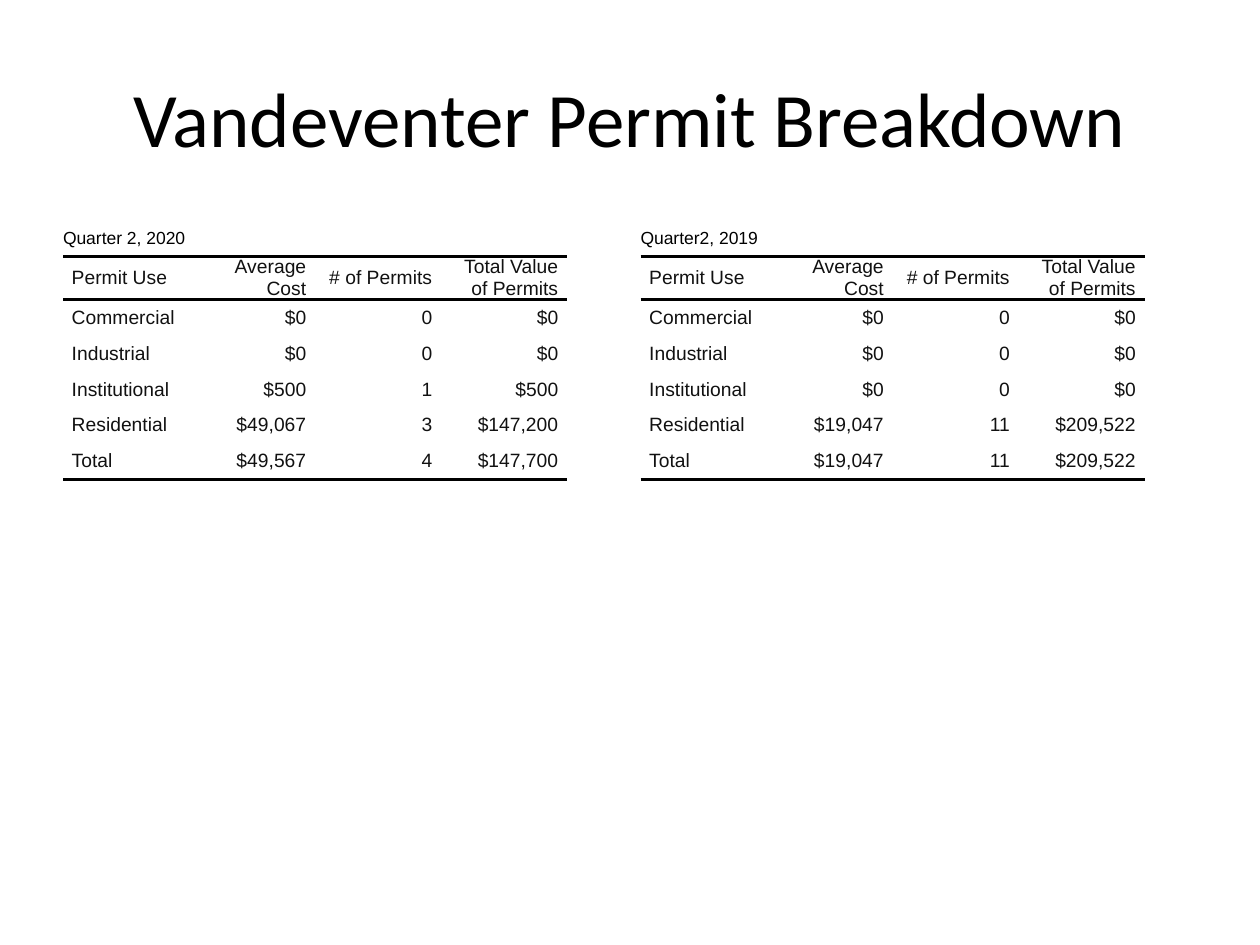
"""Build the Vandeventer permit breakdown slide with two quarterly tables."""
from lxml import etree
from pptx import Presentation
from pptx.dml.color import RGBColor
from pptx.enum.text import MSO_ANCHOR, PP_ALIGN
from pptx.oxml.ns import qn
from pptx.util import Pt

MIDDLE = MSO_ANCHOR.MIDDLE
LEFT, CENTER, RIGHT = PP_ALIGN.LEFT, PP_ALIGN.CENTER, PP_ALIGN.RIGHT

TITLE = "Vandeventer Permit Breakdown"
HEADER = ("Permit Use", "Average Cost", "# of Permits", "Total Value of Permits")
QUARTERS = [
    {"caption": "Quarter 2, 2020", "left": 36, "rows": [
        ("Commercial", "$0", "0", "$0"),
        ("Industrial", "$0", "0", "$0"),
        ("Institutional", "$500", "1", "$500"),
        ("Residential", "$49,067", "3", "$147,200"),
        ("Total", "$49,567", "4", "$147,700"),
    ]},
    {"caption": "Quarter2, 2019", "left": 366, "rows": [
        ("Commercial", "$0", "0", "$0"),
        ("Industrial", "$0", "0", "$0"),
        ("Institutional", "$0", "0", "$0"),
        ("Residential", "$19,047", "11", "$209,522"),
        ("Total", "$19,047", "11", "$209,522"),
    ]},
]

COLORS = {"black": "000000", "body": "111111"}
TABLE_TOP, COLUMN_WIDTH, ROW_HEIGHT = 126, 72, 20.57
CELL_INDENT, RULE_WIDTH = 5, 2
PLAIN_TABLE_STYLE = "{2D5ABB26-0587-4C30-8999-92F81FD0307C}"


def style_paragraph(paragraph, font_name, size, color, alignment):
    paragraph.alignment = alignment
    paragraph.font.name = font_name
    paragraph.font.size = Pt(size)
    paragraph.font.color.rgb = RGBColor.from_string(COLORS[color])


def add_rule(cell, side):
    properties = cell._tc.get_or_add_tcPr()
    line = etree.SubElement(properties, qn(f"a:ln{side}"), w=str(Pt(RULE_WIDTH)))
    fill = etree.SubElement(line, qn("a:solidFill"))
    etree.SubElement(fill, qn("a:srgbClr"), val=COLORS["black"])


def fill_cell(cell, text, size, color, alignment, indent=0, rules=""):
    cell.text = text
    cell.vertical_anchor = MIDDLE
    cell.margin_left = cell.margin_right = cell.margin_top = cell.margin_bottom = 0
    for side in rules:
        add_rule(cell, side)
    cell.fill.background()
    paragraph = cell.text_frame.paragraphs[0]
    style_paragraph(paragraph, "Arial", size, color, alignment)
    for margin in ("marL", "marR"):
        paragraph._p.get_or_add_pPr().set(margin, str(Pt(indent)))


def add_quarter_table(slide, quarter):
    rows = [HEADER, *quarter["rows"]]
    row_count, column_count = len(rows) + 1, len(HEADER)
    table = slide.shapes.add_table(
        row_count, column_count, Pt(quarter["left"]), Pt(TABLE_TOP),
        Pt(column_count * COLUMN_WIDTH), Pt(row_count * ROW_HEIGHT)).table
    table.first_row = table.horz_banding = False
    table._tbl.tblPr.find(qn("a:tableStyleId")).text = PLAIN_TABLE_STYLE
    for column in table.columns:
        column.width = Pt(COLUMN_WIDTH)
    for row in table.rows:
        row.height = Pt(ROW_HEIGHT)

    table.cell(0, 0).merge(table.cell(0, column_count - 1))
    fill_cell(table.cell(0, 0), quarter["caption"], 10, "black", LEFT)
    rules = {1: "TB", row_count - 1: "B"}
    for row_index, values in enumerate(rows, start=1):
        for column_index, value in enumerate(values):
            fill_cell(table.cell(row_index, column_index), value, 11, "body",
                      RIGHT if column_index else LEFT, CELL_INDENT,
                      rules.get(row_index, ""))


def add_title(slide):
    frame = slide.shapes.add_textbox(Pt(36), Pt(21.6), Pt(648), Pt(90)).text_frame
    frame.word_wrap = True
    frame.vertical_anchor = MIDDLE
    frame.text = TITLE
    style_paragraph(frame.paragraphs[0], "Calibri", 44, "black", CENTER)


def main():
    presentation = Presentation()
    presentation.slide_width, presentation.slide_height = Pt(720), Pt(540)
    slide = presentation.slides.add_slide(presentation.slide_layouts[6])
    for quarter in QUARTERS:
        add_quarter_table(slide, quarter)
    add_title(slide)
    presentation.save("out.pptx")


if __name__ == "__main__":
    main()
